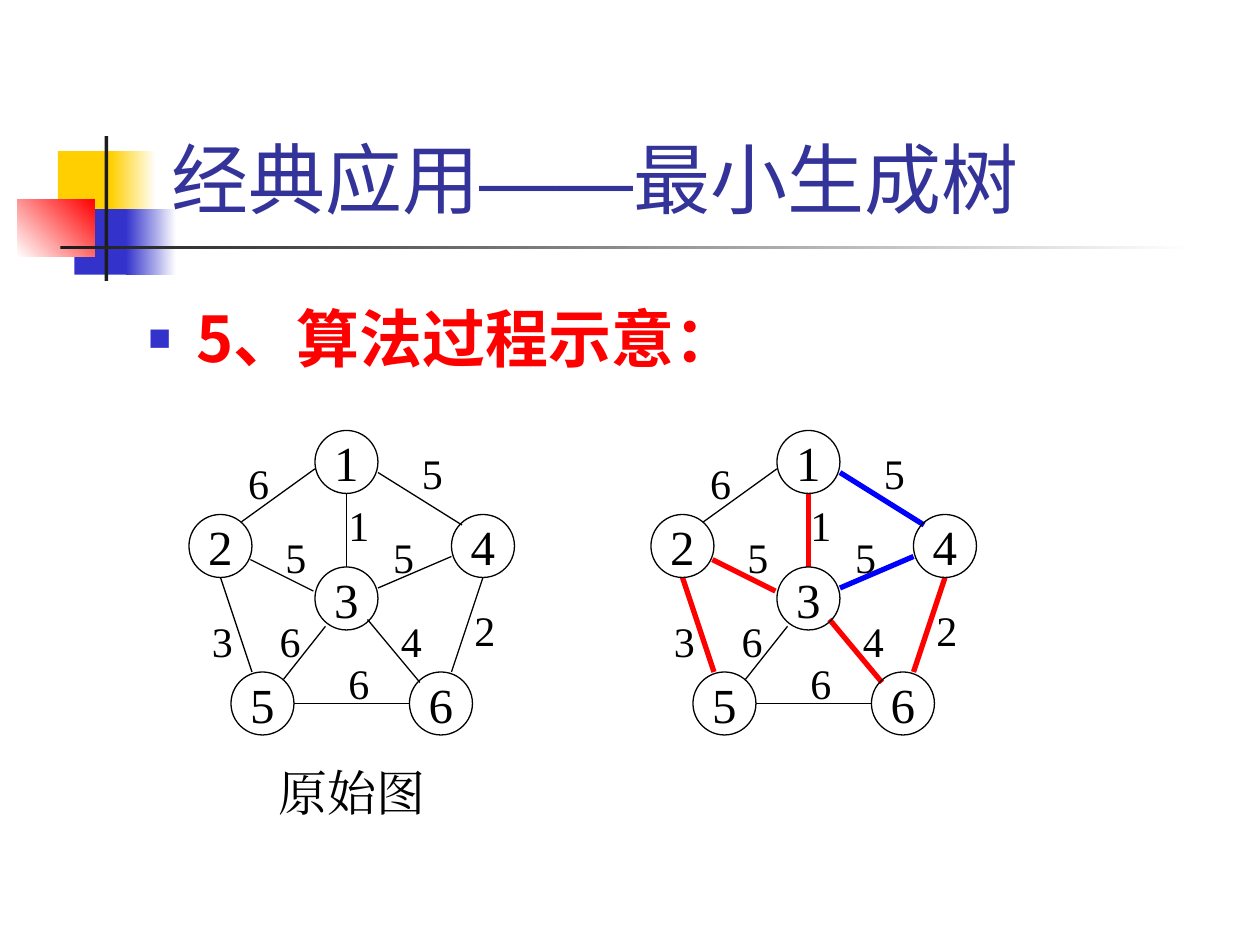
from dataclasses import dataclass
from typing import NamedTuple, Optional

from lxml.etree import SubElement
from pptx import Presentation
from pptx.dml.color import RGBColor
from pptx.enum.shapes import MSO_CONNECTOR as Connector, MSO_SHAPE as Preset
from pptx.enum.text import MSO_ANCHOR as Anchor, MSO_AUTO_SIZE as AutoSize, PP_ALIGN as Align
from pptx.oxml.ns import qn
from pptx.util import Inches, Pt

BLACK = RGBColor(0x00, 0x00, 0x00)
WHITE = RGBColor(0xFF, 0xFF, 0xFF)
RED = RGBColor(0xFF, 0x00, 0x00)
EDGE_BLUE = RGBColor(0x00, 0x00, 0xFF)
YELLOW = RGBColor(0xFF, 0xCF, 0x01)
INDIGO = RGBColor(0x33, 0x33, 0xCC)
TITLE_BLUE = RGBColor(0x33, 0x33, 0x99)
CHARCOAL = RGBColor(0x1C, 0x1C, 0x1C)

SERIF = "Times New Roman"
CJK = "Noto Sans CJK SC"
WIDTH, HEIGHT = Inches(10), Inches(7.5)
CELL = Inches(1) // 12  # the graphs stand on a grid of twelve cells to the inch
NODE_SIZE = 6
LABEL_SIZE = (4, 6)
TOP_ROW = 41
LEFT_COLUMN, RIGHT_COLUMN = 18, 62


class Area(NamedTuple):
    """Left, top, width and height in percent of the slide."""
    left: float
    top: float
    width: float
    height: float

    def lengths(self) -> list[int]:
        return [round(share * side / 100) for share, side in zip(self, (WIDTH, HEIGHT) * 2)]


@dataclass(frozen=True)
class Block:
    area: Area
    start: RGBColor
    end: Optional[RGBColor] = None
    angle: float = 0


@dataclass(frozen=True)
class Edge:
    begin: tuple[float, float]
    end: tuple[float, float]
    weight: str
    label: tuple[float, float]
    mark: Optional[RGBColor] = None  # colour in the spanning tree graph


BLOCKS = [
    Block(Area(4.6, 16, 4.8, 6.93), YELLOW),
    Block(Area(8.8, 16, 3.6, 6.93), YELLOW, WHITE),
    Block(Area(5.9, 22.13, 4.6, 6.93), INDIGO),
    Block(Area(10, 22.13, 4, 6.93), INDIGO, WHITE),
    Block(Area(1.4, 21.07, 6.1, 6.13), WHITE, RED, 45),
    Block(Area(8.3, 14.4, 0.3, 15.33), CHARCOAL),
    Block(Area(4.8, 26, 90, 0.4), CHARCOAL, WHITE),
]

NODES = {"1": (12, 0), "2": (0, 8), "3": (12, 13), "4": (25, 8), "5": (4, 23), "6": (21, 23)}

EDGES = [
    Edge((5, 8.7), (12, 3.65), "6", (4.45, 2)),
    Edge((9, 23.7), (13, 18.65), "6", (7.45, 17)),
    Edge((18, 15), (25, 12), "5", (18.25, 9), EDGE_BLUE),
    Edge((5.85, 12.3), (11.85, 15.3), "5", (8, 9), RED),
    Edge((18, 4), (26, 9), "5", (21, 1), EDGE_BLUE),
    Edge((25, 23), (28, 14), "2", (26, 16), RED),
    Edge((6, 23), (3, 14), "3", (1, 17), RED),
    Edge((10, 26), (21, 26), "6", (14, 21)),
    Edge((15, 13), (15, 6), "1", (14, 6), RED),
    Edge((17, 18), (22, 24), "4", (19, 17), RED),
]


def add_span(para, text: str, *, size: float, font: str = SERIF,
             color: RGBColor = BLACK, bold: bool = False) -> None:
    span = para.add_run()
    span.text = text
    span.font.size, span.font.name, span.font.bold = Pt(size), font, bold
    span.font.color.rgb = color
    SubElement(span.font._element, qn("a:ea"), typeface=font)


def write(shape, *spans: tuple[str, str], anchor=Anchor.TOP, align=Align.CENTER,
          before: float = 0, wrap: bool = True, grow: bool = False, **style):
    """Fill a shape with one paragraph of (text, font) spans."""
    frame = shape.text_frame
    frame.word_wrap, frame.vertical_anchor = wrap, anchor
    frame.auto_size = AutoSize.SHAPE_TO_FIT_TEXT if grow else AutoSize.NONE
    para = frame.paragraphs[0]
    para.alignment, para.space_before = align, Pt(before)
    for text, font in spans:
        add_span(para, text, font=font, **style)
    return para


def add_bullet(para, color: RGBColor, percent: int, indent: int) -> None:
    props = para._p.get_or_add_pPr()
    props.set("marL", str(indent))
    props.set("indent", str(-indent))
    SubElement(SubElement(props, qn("a:buClr")), qn("a:srgbClr"), val=str(color))
    SubElement(props, qn("a:buSzPct"), val=str(percent * 1000))
    SubElement(props, qn("a:buFont"), typeface="Arial")
    SubElement(props, qn("a:buChar"), char="■")


def draw_block(shapes, block: Block) -> None:
    shape = shapes.add_shape(Preset.RECTANGLE, *block.area.lengths())
    shape.shadow.inherit = False
    shape.line.fill.background()
    if block.end is None:
        shape.fill.solid()
        shape.fill.fore_color.rgb = block.start
        return
    shape.fill.gradient()
    shape.fill.gradient_angle = block.angle
    for stop, color in zip(shape.fill.gradient_stops, (block.start, block.end)):
        stop.color.rgb = color


def draw_graph(shapes, column: int, marked: bool) -> None:
    def place(point: tuple[float, float]) -> tuple[int, int]:
        return round((column + point[0]) * CELL), round((TOP_ROW + point[1]) * CELL)

    for edge in EDGES:
        line = shapes.add_connector(Connector.STRAIGHT, *place(edge.begin), *place(edge.end))
        SubElement(line._element.spPr, qn("a:effectLst"))
        highlighted = marked and edge.mark is not None
        line.line.color.rgb = edge.mark if highlighted else BLACK
        line.line.width = Pt(3 if highlighted else 0.75)

    for name, corner in NODES.items():
        node = shapes.add_shape(Preset.OVAL, *place(corner), NODE_SIZE * CELL, NODE_SIZE * CELL)
        node.shadow.inherit = False
        node.fill.background()
        node.line.color.rgb, node.line.width = BLACK, Pt(0.75)
        write(node, (name, SERIF), size=28, anchor=Anchor.MIDDLE, wrap=False)

    for edge in EDGES:
        box = shapes.add_textbox(*place(edge.label), *(side * CELL for side in LABEL_SIZE))
        write(box, (edge.weight, SERIF), size=24, before=15, grow=True)


def main() -> None:
    deck = Presentation()
    deck.slide_width, deck.slide_height = WIDTH, HEIGHT
    shapes = deck.slides.add_slide(deck.slide_layouts[6]).shapes

    for block in BLOCKS:
        draw_block(shapes, block)

    title = shapes.add_textbox(*Area(12.6, 3.07, 85.2, 21.33).lengths())
    write(title, ("经典应用", "Karla"), ("——", "Arial"), ("最小生成树", "Karla"),
          size=44, color=TITLE_BLUE, anchor=Anchor.BOTTOM, align=Align.LEFT)

    heading = shapes.add_textbox(*Area(10.8, 31.07, 65, 11.07).lengths())
    para = write(heading, ("5、算法过程示意：", CJK), size=36, color=RED, bold=True,
                 align=Align.LEFT, before=9)
    add_bullet(para, INDIGO, percent=60, indent=Inches(0.38))

    draw_graph(shapes.add_group_shape().shapes, LEFT_COLUMN, marked=False)
    caption = shapes.add_textbox(*Area(19.2, 80, 17.5, 7.6).lengths())
    write(caption, ("原始图", SERIF), size=28, before=17.5, grow=True)
    draw_graph(shapes, RIGHT_COLUMN, marked=True)

    deck.save("out.pptx")


if __name__ == "__main__":
    main()
